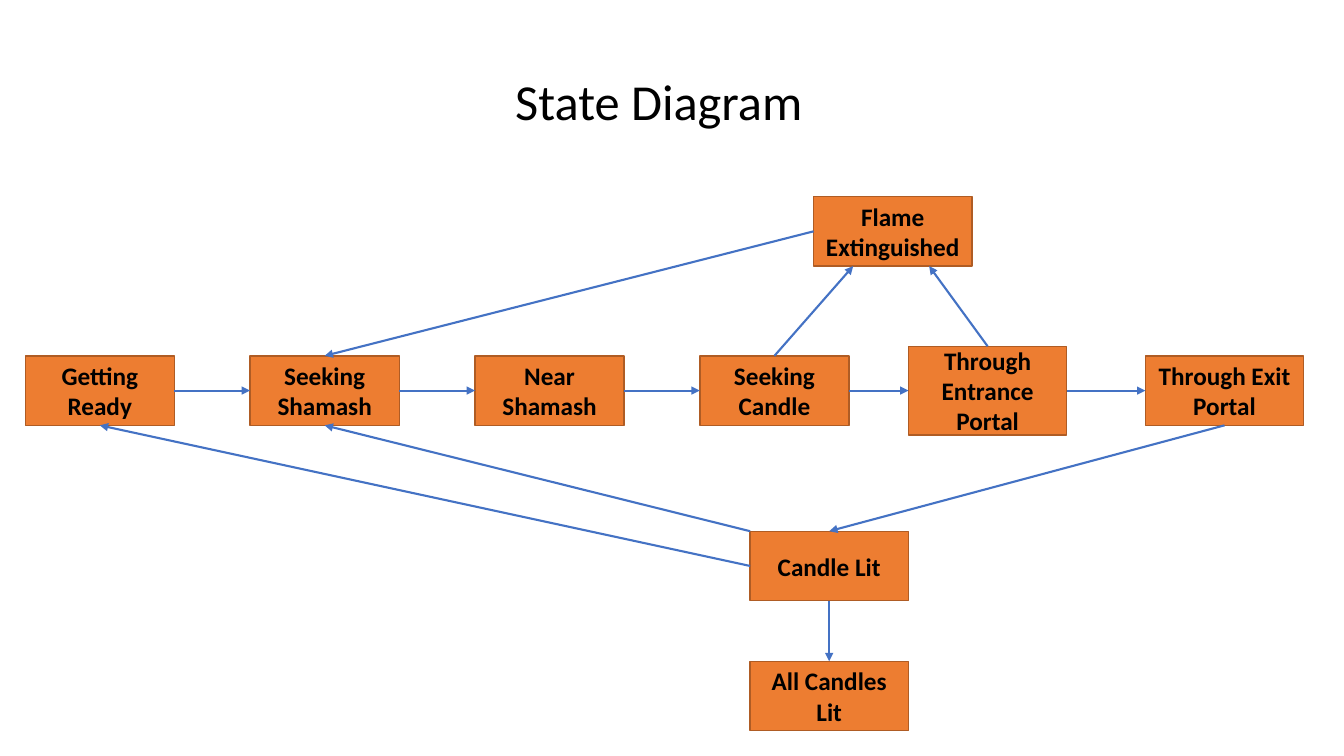
from lxml import etree
from pptx import Presentation
from pptx.dml.color import RGBColor
from pptx.enum.shapes import MSO_CONNECTOR, MSO_SHAPE
from pptx.enum.text import MSO_ANCHOR, PP_ALIGN
from pptx.oxml.ns import qn
from pptx.util import Inches, Pt

RECT = MSO_SHAPE.RECTANGLE
STRAIGHT = MSO_CONNECTOR.STRAIGHT
MIDDLE = MSO_ANCHOR.MIDDLE
CENTER = PP_ALIGN.CENTER

BLACK = RGBColor(0x00, 0x00, 0x00)
ORANGE = RGBColor(0xED, 0x7D, 0x31)
BROWN = RGBColor(0xAF, 0x5C, 0x24)
BLUE = RGBColor(0x44, 0x72, 0xC4)
FONT = "Calibri"

# Regions in inches: left, top, width, height
TITLE = (-0.47, 0.31, 14.01, 1.45)
CHART = (0.25, 1.95, 12.68, 5.3)

# Grid of the diagram: shares of its box in percent
PITCH = 17.59
SLIM, WIDE = 11.67, 12.38
LOW, TALL = 13.02, 16.6
TOP, MAIN, LIT, LAST = 6.51, 36.32, 69.15, 93.49  # row centres

# State: left, row centre, width, height
STATES = {
    name: (col * PITCH, MAIN, SLIM, LOW)
    for col, name in enumerate(
        ["Getting Ready", "Seeking Shamash", "Near Shamash", "Seeking Candle"])
}
STATES |= {
    "Flame Extinguished": (61.67, TOP, WIDE, LOW),
    "Through Entrance Portal": (69.09, MAIN, WIDE, TALL),
    "Through Exit Portal": (87.62, MAIN, WIDE, LOW),
    "Candle Lit": (56.7, LIT, WIDE, LOW),
    "All Candles Lit": (56.7, LAST, WIDE, LOW),
}

# Points on a state, as shares of its width and height
NORTH, WEST, SOUTH, EAST = (0.5, 0), (0, 0.5), (0.5, 1), (1, 0.5)
SITES = [NORTH, WEST, SOUTH, EAST]
CORNER = (0, 0)

FLOW = ["Getting Ready", "Seeking Shamash", "Near Shamash", "Seeking Candle",
        "Through Entrance Portal", "Through Exit Portal"]
MOVES = [(a, EAST, b, WEST) for a, b in zip(FLOW, FLOW[1:])] + [
    ("Through Exit Portal", SOUTH, "Candle Lit", NORTH),
    ("Seeking Candle", NORTH, "Flame Extinguished", (0.25, 1)),
    ("Flame Extinguished", WEST, "Seeking Shamash", NORTH),
    ("Through Entrance Portal", NORTH, "Flame Extinguished", (0.73, 1)),
    ("Candle Lit", CORNER, "Seeking Shamash", SOUTH),
    ("Candle Lit", WEST, "Getting Ready", SOUTH),
    ("Candle Lit", SOUTH, "All Candles Lit", NORTH),
]


def write(shape, text, size, bold=False):
    frame = shape.text_frame
    frame.word_wrap = True
    frame.vertical_anchor = MIDDLE
    para = frame.paragraphs[0]
    para.alignment = CENTER
    run = para.add_run()
    run.text = text
    run.font.name = FONT
    run.font.size = Pt(size)
    run.font.bold = bold
    run.font.color.rgb = BLACK
    return para


def add_title(slide, box, text):
    shape = slide.shapes.add_textbox(*map(Inches, box))
    write(shape, text, 36).line_spacing = 0.9


def add_state(slide, box, name):
    shape = slide.shapes.add_shape(RECT, *map(Inches, box))
    shape.shadow.inherit = False
    shape.fill.solid()
    shape.fill.fore_color.rgb = ORANGE
    shape.line.color.rgb = BROWN
    shape.line.width = Pt(1)
    write(shape, name, 18, True)
    return shape


def spot(shape, share):
    return (round(shape.left + share[0] * shape.width),
            round(shape.top + share[1] * shape.height))


def add_move(slide, start, out, end, into):
    line = slide.shapes.add_connector(
        STRAIGHT, *spot(start, out), *spot(end, into))
    if out in SITES:
        line.begin_connect(start, SITES.index(out))
    if into in SITES:
        line.end_connect(end, SITES.index(into))
    line.line.color.rgb = BLUE
    line.line.width = Pt(1.5)
    # Arrowhead, then no shadow
    etree.SubElement(line.line._get_or_add_ln(), qn("a:tailEnd"),
                     type="triangle")
    etree.SubElement(line._element.spPr, qn("a:effectLst"))


def add_diagram(slide, box):
    left, top, width, height = box
    shapes = {}
    for name, (x, mid, w, h) in STATES.items():
        place = (left + x * width / 100, top + (mid - h / 2) * height / 100,
                 w * width / 100, h * height / 100)
        shapes[name] = add_state(slide, place, name)
    for start, out, end, into in MOVES:
        add_move(slide, shapes[start], out, shapes[end], into)


def main():
    deck = Presentation()
    deck.slide_width = Inches(13.33)
    deck.slide_height = Inches(7.5)
    slide = deck.slides.add_slide(deck.slide_layouts[6])
    add_title(slide, TITLE, "State Diagram")
    add_diagram(slide, CHART)
    deck.save("out.pptx")


if __name__ == "__main__":
    main()
